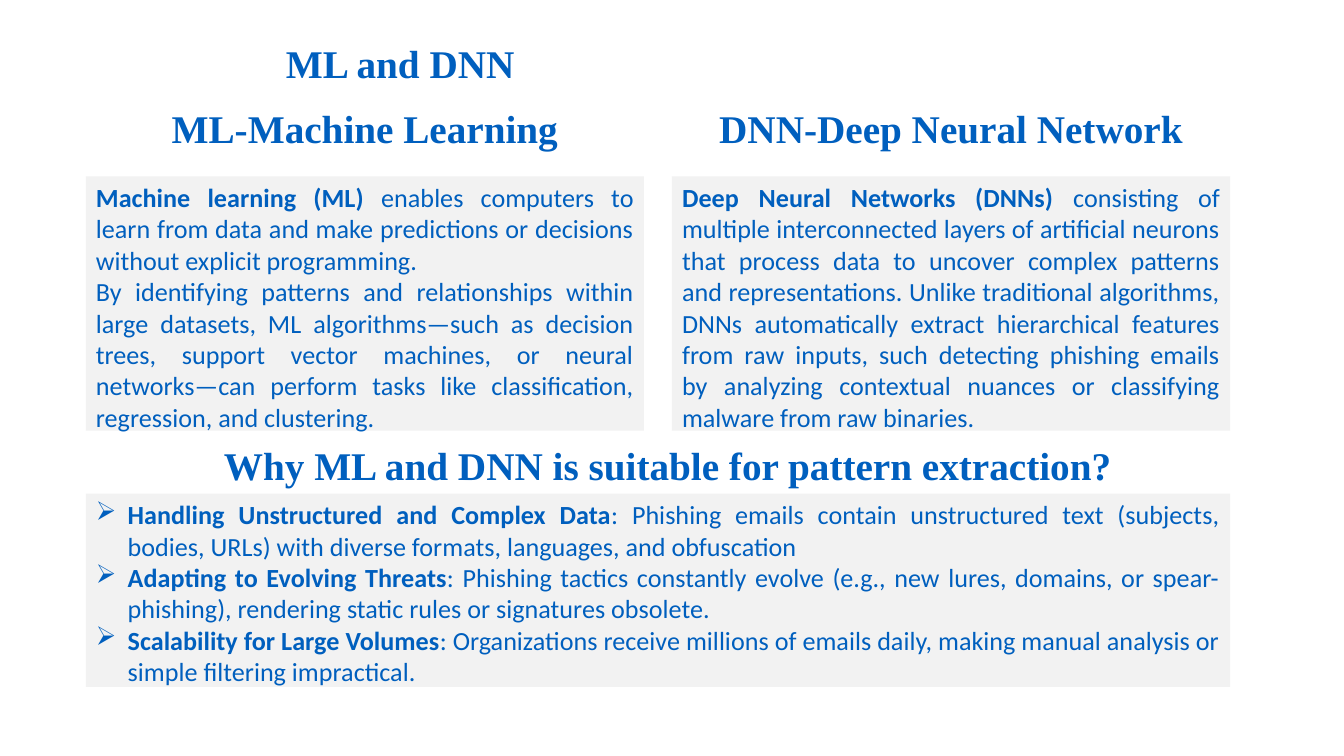
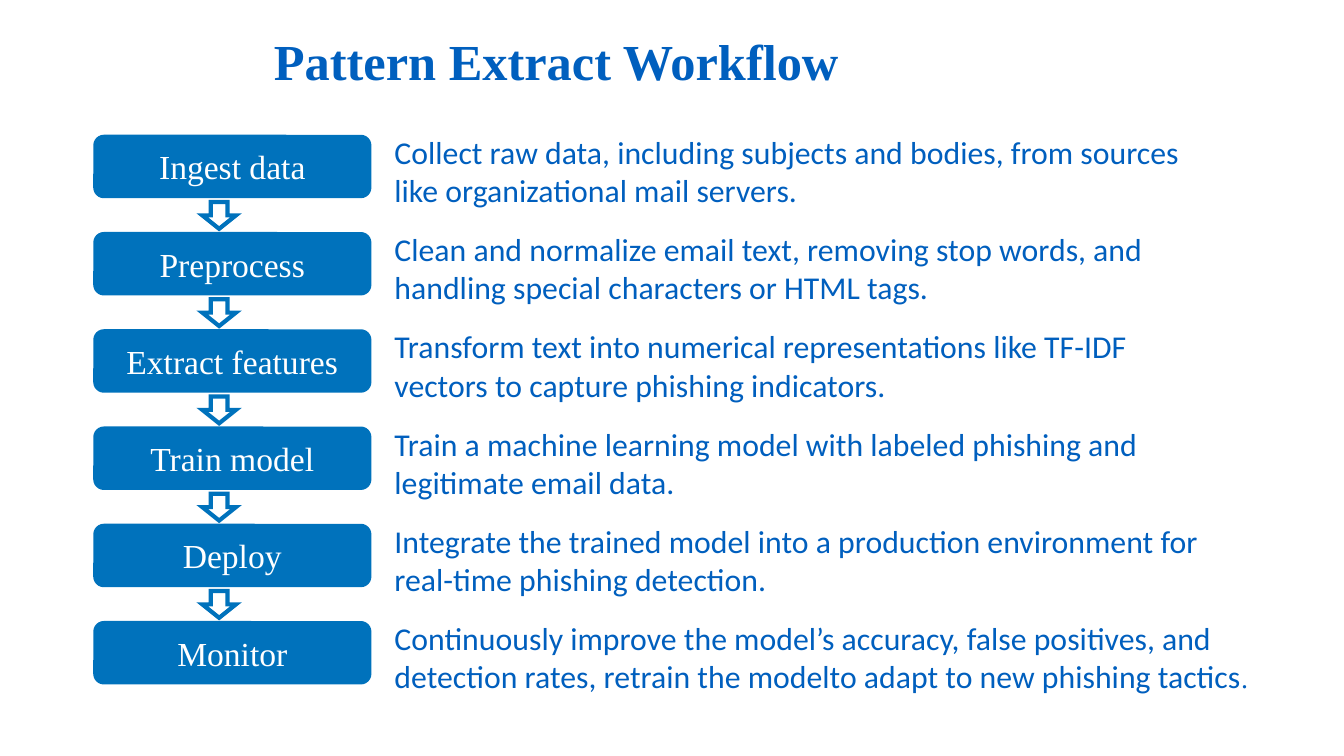
from dataclasses import dataclass

from lxml.etree import SubElement
from pptx import Presentation
from pptx.dml.color import RGBColor
from pptx.enum.shapes import MSO_SHAPE as SHAPE
from pptx.enum.text import MSO_ANCHOR as ANCHOR, MSO_AUTO_SIZE as AUTO, PP_ALIGN as ALIGN
from pptx.oxml.ns import qn
from pptx.util import Pt


@dataclass(frozen=True)
class Theme:
    text: str = "005FBE"
    accent: str = "0072BC"
    panel: str = "F2F2F2"
    white: str = "FFFFFF"
    body_font: str = "Calibri"
    head_font: str = "Times New Roman"
    bullet_font: str = "Wingdings"
    title: int = 27
    heading: int = 21
    step: int = 18
    detail: int = 17
    stop: int = 15
    body: int = 14


T = Theme()
HEADING = dict(name=T.head_font, size=T.heading, color=T.text, bold=True)
TITLE = {**HEADING, "size": T.title}
BODY = dict(name=T.body_font, size=T.body, color=T.text, bold=False)
STRONG = {**BODY, "bold": True}
DETAIL = {**BODY, "size": T.detail}
STOP = {**DETAIL, "name": T.head_font, "size": T.stop}
STEP = dict(name=T.head_font, size=T.step, color=T.white, bold=False)

LEFT, RIGHT, COLUMN_W, FULL_W = 46, 360, 299, 613
HEADING_H = 31
STEP_TOP, STEP_PITCH, STEP_H = 72.2, 52.1, 34

COLUMNS = [
    (LEFT, "ML-Machine Learning", [
        [("Machine learning (ML) ", STRONG),
         ("enables computers to learn from data and make predictions or decisions "
          "without explicit programming.", BODY)],
        [("By identifying patterns and relationships within large datasets, ML "
          "algorithms—such as decision trees, support vector machines, or neural "
          "networks—can perform tasks like classification, regression, and "
          "clustering.", BODY)],
    ]),
    (RIGHT, "DNN-Deep Neural Network", [
        [("Deep Neural Networks (DNNs) ", STRONG),
         ("consisting of multiple interconnected layers of artificial neurons that "
          "process data to uncover complex patterns and representations. Unlike "
          "traditional algorithms, DNNs automatically extract hierarchical features "
          "from raw inputs, such detecting phishing emails by analyzing contextual "
          "nuances or classifying malware from raw binaries.", BODY)],
    ]),
]

REASONS = [
    ("Handling Unstructured and Complex Data",
     ": Phishing emails contain unstructured text (subjects, bodies, URLs) with "
     "diverse formats, languages, and obfuscation"),
    ("Adapting to Evolving Threats",
     ": Phishing tactics constantly evolve (e.g., new lures, domains, or "
     "spear-phishing), rendering static rules or signatures obsolete."),
    ("Scalability for Large Volumes",
     ": Organizations receive millions of emails daily, making manual analysis or "
     "simple filtering impractical."),
]

STEPS = [
    ("Ingest data", [("Collect raw data, including subjects and bodies, from sources "
                      "like organizational mail servers.", DETAIL)]),
    ("Preprocess", [("Clean and normalize email text, removing stop words, and "
                     "handling special characters or HTML tags.", DETAIL)]),
    ("Extract features", [("Transform text into numerical representations like TF-IDF "
                           "vectors to capture phishing indicators.", DETAIL)]),
    ("Train model", [("Train a machine learning model with labeled phishing and "
                      "legitimate email data.", DETAIL)]),
    ("Deploy", [("Integrate the trained model into a production environment for "
                 "real-time phishing detection.", DETAIL)]),
    ("Monitor", [("Continuously improve the model’s accuracy, false positives, and "
                  "detection rates, retrain the modelto adapt to new phishing tactics",
                  DETAIL), (".", STOP)]),
]


def rgb(value):
    return RGBColor.from_string(value)


def format_run(r, style):
    for key, value in style.items():
        if key == "color":
            r.font.color.rgb = rgb(value)
        else:
            setattr(r.font, key, Pt(value) if key == "size" else value)


def add_bullet(p):
    """Give the paragraph an arrowhead bullet, which Wingdings keeps at Ø."""
    pPr = p._p.get_or_add_pPr()
    pPr.set("marL", str(Pt(17)))
    pPr.set("indent", str(-Pt(17)))
    SubElement(SubElement(pPr, qn("a:buClr")), qn("a:srgbClr")).set("val", T.text)
    font = SubElement(pPr, qn("a:buFont"))
    font.set("typeface", T.bullet_font)
    font.set("charset", "2")
    SubElement(pPr, qn("a:buChar")).set("char", "Ø")


def write(sp, paragraphs, align=ALIGN.LEFT, anchor=ANCHOR.TOP, bullets=False):
    """Fill a shape with paragraphs, each a list of (text, style) runs."""
    tf = sp.text_frame
    frame = dict(word_wrap=True, auto_size=AUTO.NONE, vertical_anchor=anchor,
                 margin_left=Pt(5.4), margin_right=Pt(5.4),
                 margin_top=Pt(2.7), margin_bottom=Pt(2.7))
    for key, value in frame.items():
        setattr(tf, key, value)
    for i, runs in enumerate(paragraphs):
        p = tf.add_paragraph() if i else tf.paragraphs[0]
        p.alignment = align
        if bullets:
            add_bullet(p)
        for text, style in runs:
            r = p.add_run()
            r.text = text
            format_run(r, style)


def add_text(s, box, runs, align=ALIGN.LEFT):
    write(s.shapes.add_textbox(*map(Pt, box)), [runs], align)


def add_box(s, kind, box, fill=None, line=None):
    sp = s.shapes.add_shape(kind, *map(Pt, box))
    sp.shadow.inherit = False
    if fill:
        sp.fill.solid()
        sp.fill.fore_color.rgb = rgb(fill)
    else:
        sp.fill.background()
    if line:
        sp.line.color.rgb = rgb(line)
        sp.line.width = Pt(2.25)
        SubElement(sp.line._get_or_add_ln(), qn("a:miter")).set("lim", "800000")
    else:
        sp.line.fill.background()
    return sp


def add_panel(s, box, paragraphs, bullets=False):
    sp = add_box(s, SHAPE.RECTANGLE, box, T.panel)
    write(sp, paragraphs, ALIGN.JUSTIFY, bullets=bullets)


def add_step(s, top, name, detail, detail_w):
    sp = add_box(s, SHAPE.ROUNDED_RECTANGLE, (50, top, 149, STEP_H), T.accent)
    write(sp, [[(name, STEP)]], ALIGN.CENTER, ANCHOR.MIDDLE)
    add_text(s, (205.9, top - 3.8, detail_w, 46.8), detail)


def build_comparison(s):
    add_text(s, (147.7, 18.4, 320, HEADING_H), [("ML and DNN", HEADING)])
    for left, heading, paragraphs in COLUMNS:
        add_text(s, (left, 53.3, COLUMN_W, HEADING_H), [(heading, HEADING)], ALIGN.CENTER)
        add_panel(s, (left, 94.5, COLUMN_W, 136.2), paragraphs)
    add_text(s, (LEFT, 233.6, 623.5, HEADING_H),
             [("Why ML and DNN is suitable for pattern extraction?", HEADING)], ALIGN.CENTER)
    add_panel(s, (LEFT, 264.4, FULL_W, 103.6),
              [[(lead, STRONG), (rest, BODY)] for lead, rest in REASONS], bullets=True)


def build_workflow(s):
    add_text(s, (141.3, 13.7, 435.6, 38.2), [("Pattern Extract Workflow", TITLE)])
    last = len(STEPS) - 1
    for i, (name, detail) in enumerate(STEPS):
        top = STEP_TOP + i * STEP_PITCH
        add_step(s, top, name, detail, 498 if i == last else 445.7)
        if i < last:
            add_box(s, SHAPE.DOWN_ARROW, (108.4, top + STEP_H + 2, 18, 14.4),
                    line=T.accent)


def main():
    prs = Presentation()
    prs.slide_width, prs.slide_height = Pt(720), Pt(405)
    for build in (build_comparison, build_workflow):
        build(prs.slides.add_slide(prs.slide_layouts[6]))
    prs.save("out.pptx")


if __name__ == "__main__":
    main()
